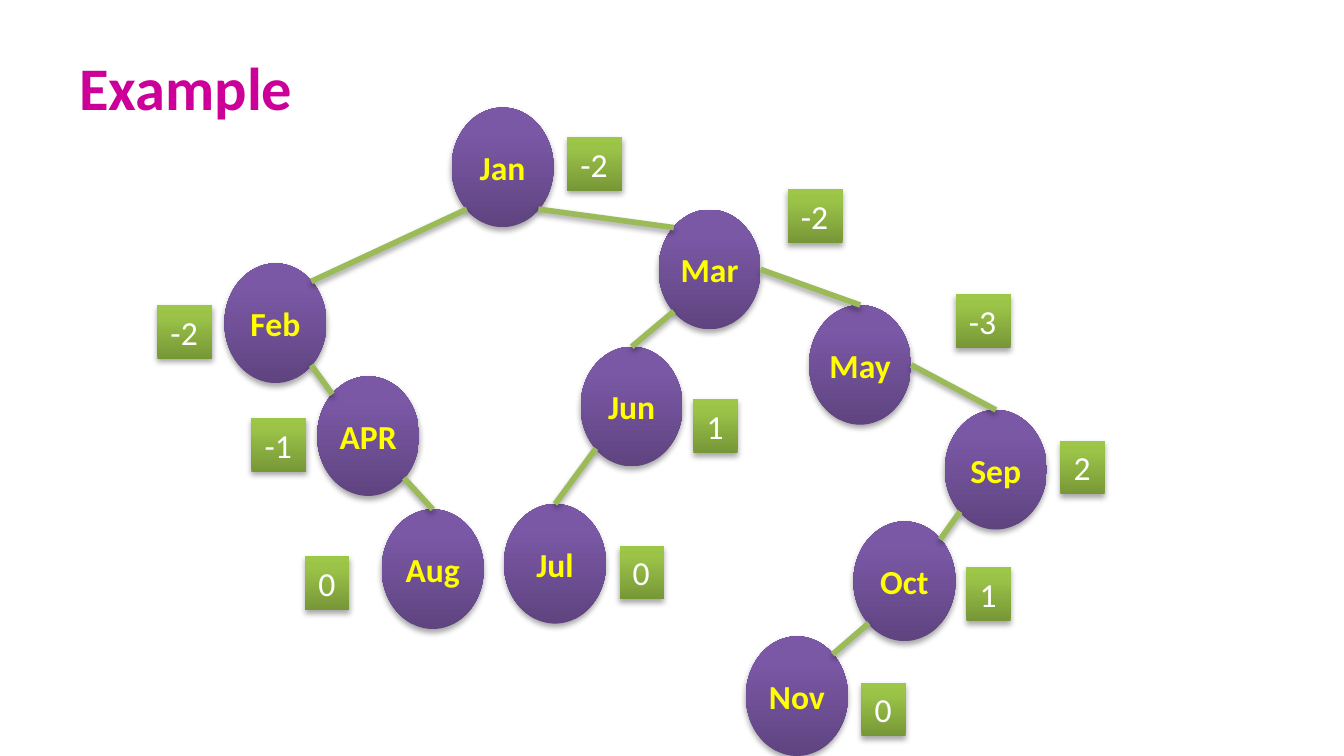
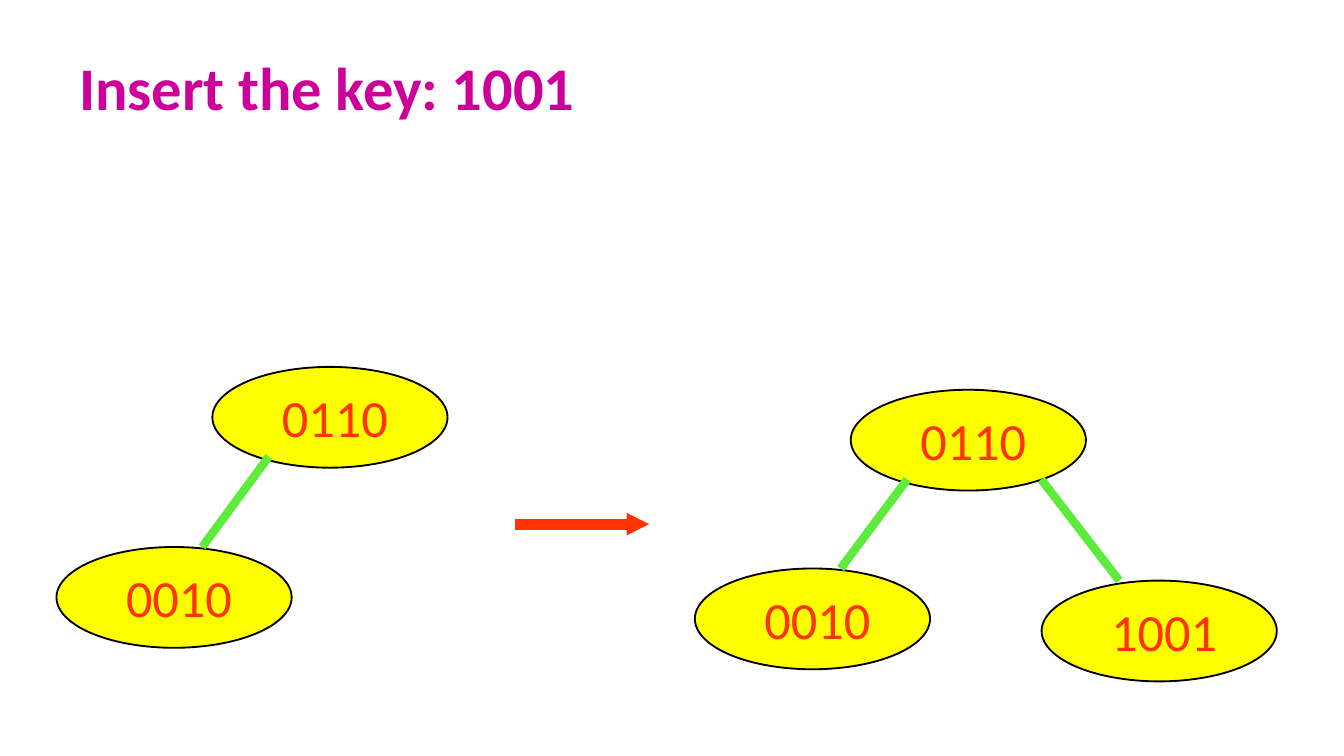
from copy import deepcopy
from dataclasses import dataclass
from enum import Enum

from lxml.etree import SubElement
from pptx import Presentation
from pptx.dml.color import RGBColor
from pptx.enum.shapes import MSO_CONNECTOR, MSO_SHAPE
from pptx.enum.text import MSO_ANCHOR, MSO_AUTO_SIZE, PP_ALIGN
from pptx.oxml.ns import qn
from pptx.util import Inches, Pt

SLIDE_WIDTH = Inches(10)
SLIDE_HEIGHT = SLIDE_WIDTH * 9 // 16
CELL = SLIDE_WIDTH / 100  # square grid: 100 columns, 56.25 rows


@dataclass(frozen=True)
class Theme:
    font: str = "Calibri"
    title: str = "CC0099"
    node_text: str = "FFFF00"
    node_stops: tuple = ((0, "5F4480"), (0.8, "7B58A6"), (1, "7C57A8"))
    badge_text: str = "FFFFFF"
    badge_stops: tuple = ((0, "779737"), (0.8, "9BC348"), (1, "9DC746"))
    branch: str = "9BBB59"
    key_fill: str = "FFFF00"
    key_outline: str = "000000"
    accent: str = "FF3300"
    key_branch: str = "5EEC3C"
    title_size: float = 32.4
    node_size: int = 18
    key_size: int = 28


THEME = Theme()


class Site(Enum):
    """Points on an ellipse, as shares of its width and height."""
    TOP = (0.5, 0)
    RIGHT = (1, 0.5)
    TOP_LEFT = (0.15, 0.15)
    TOP_RIGHT = (0.85, 0.15)
    BOTTOM_LEFT = (0.15, 0.85)
    BOTTOM_RIGHT = (0.85, 0.85)
    KEY_LEFT = (0.24, 0.89)
    KEY_RIGHT = (0.81, 0.89)
    KEY_TOP_LEFT = (0.33, 0)
    KEY_TOP_RIGHT = (0.62, 0)


@dataclass(frozen=True)
class Size:
    columns: float
    rows: float


NODE = Size(7.6, 8.9)
KEY = Size(17.5, 7.5)
KEY_LABEL = Size(11.7, 5.7)
BADGE_ROWS = 4


@dataclass(frozen=True)
class Node:
    name: str
    column: float
    row: float
    balance: str
    badge_column: float
    badge_row: float


@dataclass(frozen=True)
class Key:
    name: str
    column: float
    row: float


@dataclass(frozen=True)
class Branch:
    parent: str
    start: Site
    child: str
    end: Site


MONTHS = (
    Node("Feb", 16.7, 19.6, "-2", 11.7, 22.7),
    Node("Mar", 49, 15.6, "-2", 58.6, 14.1),
    Node("APR", 23.6, 28, "-1", 18.7, 31.1),
    Node("Aug", 28.4, 37.9, "0", 22.7, 41.4),
    Node("Jun", 43.2, 25.8, "1", 51.6, 29.7),
    Node("May", 60.2, 22.7, "-3", 71.1, 21.9),
    Node("Jan", 33.6, 8, "-2", 42.2, 10.2),
    Node("Jul", 37.5, 37.5, "0", 46.1, 40.6),
    Node("Sep", 70.3, 30.5, "2", 78.9, 32.8),
    Node("Oct", 63.5, 38.8, "1", 71.9, 42.2),
    Node("Nov", 55.5, 47.35, "0", 64.1, 50.8),
)
MONTH_BRANCHES = (
    Branch("Feb", Site.BOTTOM_RIGHT, "APR", Site.TOP_LEFT),
    Branch("APR", Site.BOTTOM_RIGHT, "Aug", Site.TOP),
    Branch("Mar", Site.BOTTOM_LEFT, "Jun", Site.TOP),
    Branch("Mar", Site.RIGHT, "May", Site.TOP),
    Branch("Jan", Site.BOTTOM_LEFT, "Feb", Site.TOP_RIGHT),
    Branch("Jan", Site.BOTTOM_RIGHT, "Mar", Site.TOP_LEFT),
    Branch("Jun", Site.BOTTOM_LEFT, "Jul", Site.TOP),
    Branch("May", Site.RIGHT, "Sep", Site.TOP),
    Branch("Sep", Site.BOTTOM_LEFT, "Oct", Site.TOP_RIGHT),
    Branch("Oct", Site.BOTTOM_LEFT, "Nov", Site.TOP_RIGHT),
)

LEFT_BRANCH = Branch("0110", Site.KEY_LEFT, "0010", Site.KEY_TOP_RIGHT)
RIGHT_BRANCH = Branch("0110", Site.KEY_RIGHT, "1001", Site.KEY_TOP_LEFT)
KEYS_BEFORE = (Key("0110", 15.8, 27.3), Key("0010", 4.2, 40.7))
KEYS_AFTER = (Key("1001", 77.5, 43.2), Key("0110", 63.3, 29), Key("0010", 51.7, 42.3))


def grid(*cells: float) -> list[int]:
    return [round(cell * CELL) for cell in cells]


def add_span(para, text: str, size: float, color: str, bold: bool = False) -> None:
    span = para.add_run()
    span.text = text
    span.font.name = THEME.font
    span.font.size = Pt(size)
    span.font.bold = bold
    span.font.color.rgb = RGBColor.from_string(color)


def add_shadow(effects) -> None:
    shadow = SubElement(effects, qn("a:outerShdw"), blurRad="40000", dist="23000",
                        dir="5400000", rotWithShape="0")
    black = SubElement(shadow, qn("a:srgbClr"), val="000000")
    SubElement(black, qn("a:alpha"), val="35000")


def fill_gradient(shape, stops: tuple) -> None:
    shape.fill.gradient()
    shape.fill.gradient_angle = 90
    stop_list = shape._element.spPr.find(".//" + qn("a:gsLst"))
    stop_list.append(deepcopy(stop_list[0]))
    for stop, (position, color) in zip(shape.fill.gradient_stops, stops):
        stop.position = position
        stop.color.rgb = RGBColor.from_string(color)


def add_glossy(shapes, kind: MSO_SHAPE, at: list[int], stops: tuple):
    """Add a borderless gradient shape with a soft shadow."""
    shape = shapes.add_shape(kind, *at)
    fill_gradient(shape, stops)
    shape.line.fill.background()
    shape.shadow.inherit = False
    add_shadow(shape._element.spPr.find(qn("a:effectLst")))
    return shape


def add_line(shapes, start: list[int], end: list[int], color: str, width: float,
             shadow: bool = False):
    line = shapes.add_connector(MSO_CONNECTOR.STRAIGHT, *start, *end)
    line.line.color.rgb = RGBColor.from_string(color)
    line.line.width = Pt(width)
    effects = SubElement(line._element.spPr, qn("a:effectLst"))
    if shadow:
        add_shadow(effects)
    return line


def site_point(item: Node | Key, size: Size, site: Site) -> list[int]:
    across, down = site.value
    return grid(item.column + across * size.columns, item.row + down * size.rows)


def add_branches(shapes, items: tuple, size: Size, branches: tuple, color: str,
                 width: float, shadow: bool = False) -> None:
    named = {item.name: item for item in items}
    for branch in branches:
        add_line(shapes, site_point(named[branch.parent], size, branch.start),
                 site_point(named[branch.child], size, branch.end), color, width, shadow)


def add_node(shapes, node: Node) -> None:
    at = grid(node.column, node.row, NODE.columns, NODE.rows)
    box = add_glossy(shapes, MSO_SHAPE.OVAL, at, THEME.node_stops).text_frame
    box.margin_left = box.margin_right = box.margin_top = box.margin_bottom = 0
    box.vertical_anchor = MSO_ANCHOR.MIDDLE
    para = box.paragraphs[0]
    para.alignment = PP_ALIGN.CENTER
    add_span(para, node.name, THEME.node_size, THEME.node_text, bold=True)


def add_badge(shapes, node: Node) -> None:
    columns = 4.1 if len(node.balance) > 1 else 3.3
    at = grid(node.badge_column, node.badge_row, columns, BADGE_ROWS)
    box = add_glossy(shapes, MSO_SHAPE.RECTANGLE, at, THEME.badge_stops).text_frame
    box.word_wrap = False
    box.auto_size = MSO_AUTO_SIZE.SHAPE_TO_FIT_TEXT
    box.vertical_anchor = MSO_ANCHOR.TOP
    para = box.paragraphs[0]
    para.alignment = PP_ALIGN.LEFT
    add_span(para, node.balance, THEME.node_size, THEME.badge_text)


def add_key(shapes, key: Key) -> None:
    oval = shapes.add_shape(MSO_SHAPE.OVAL,
                            *grid(key.column, key.row, KEY.columns, KEY.rows))
    oval.shadow.inherit = False
    oval.fill.solid()
    oval.fill.fore_color.rgb = RGBColor.from_string(THEME.key_fill)
    oval.line.color.rgb = RGBColor.from_string(THEME.key_outline)
    oval.line.width = Pt(1)
    top = key.row + (KEY.rows - KEY_LABEL.rows) / 2
    box = shapes.add_textbox(*grid(key.column + 4.2, top, KEY_LABEL.columns,
                                   KEY_LABEL.rows)).text_frame
    box.word_wrap = True
    box.auto_size = MSO_AUTO_SIZE.SHAPE_TO_FIT_TEXT
    add_span(box.paragraphs[0], key.name, THEME.key_size, THEME.accent)


def add_key_tree(page, keys: tuple, branches: tuple) -> None:
    shapes = page.shapes.add_group_shape().shapes
    for key in keys:
        add_key(shapes, key)
    add_branches(shapes, keys, KEY, branches, THEME.key_branch, 4.5)


def add_page(deck, title: str):
    page = deck.slides.add_slide(deck.slide_layouts.get_by_name("Title Only"))
    holder = page.shapes.title
    holder.left, holder.top, holder.width, holder.height = grid(4.9, 3.1, 90.2, 6.7)
    box = holder.text_frame
    box.auto_size = MSO_AUTO_SIZE.NONE
    box.vertical_anchor = MSO_ANCHOR.MIDDLE
    para = box.paragraphs[0]
    para.alignment = PP_ALIGN.LEFT
    add_span(para, title, THEME.title_size, THEME.title, bold=True)
    return page


def add_month_page(deck) -> None:
    shapes = add_page(deck, "Example").shapes
    for node in MONTHS:
        add_node(shapes, node)
    add_branches(shapes, MONTHS, NODE, MONTH_BRANCHES, THEME.branch, 3, shadow=True)
    for node in MONTHS:
        add_badge(shapes, node)


def add_insert_page(deck) -> None:
    page = add_page(deck, "Insert the key: 1001")
    add_key_tree(page, KEYS_BEFORE, (LEFT_BRANCH,))
    arrow = add_line(page.shapes, grid(38.3, 39), grid(48.3, 39), THEME.accent, 6)
    SubElement(arrow.line._get_or_add_ln(), qn("a:tailEnd"),
               type="triangle", w="sm", len="sm")
    add_key_tree(page, KEYS_AFTER, (LEFT_BRANCH, RIGHT_BRANCH))


def main() -> None:
    deck = Presentation()
    deck.slide_width, deck.slide_height = SLIDE_WIDTH, SLIDE_HEIGHT
    add_month_page(deck)
    add_insert_page(deck)
    deck.save("out.pptx")


if __name__ == "__main__":
    main()
